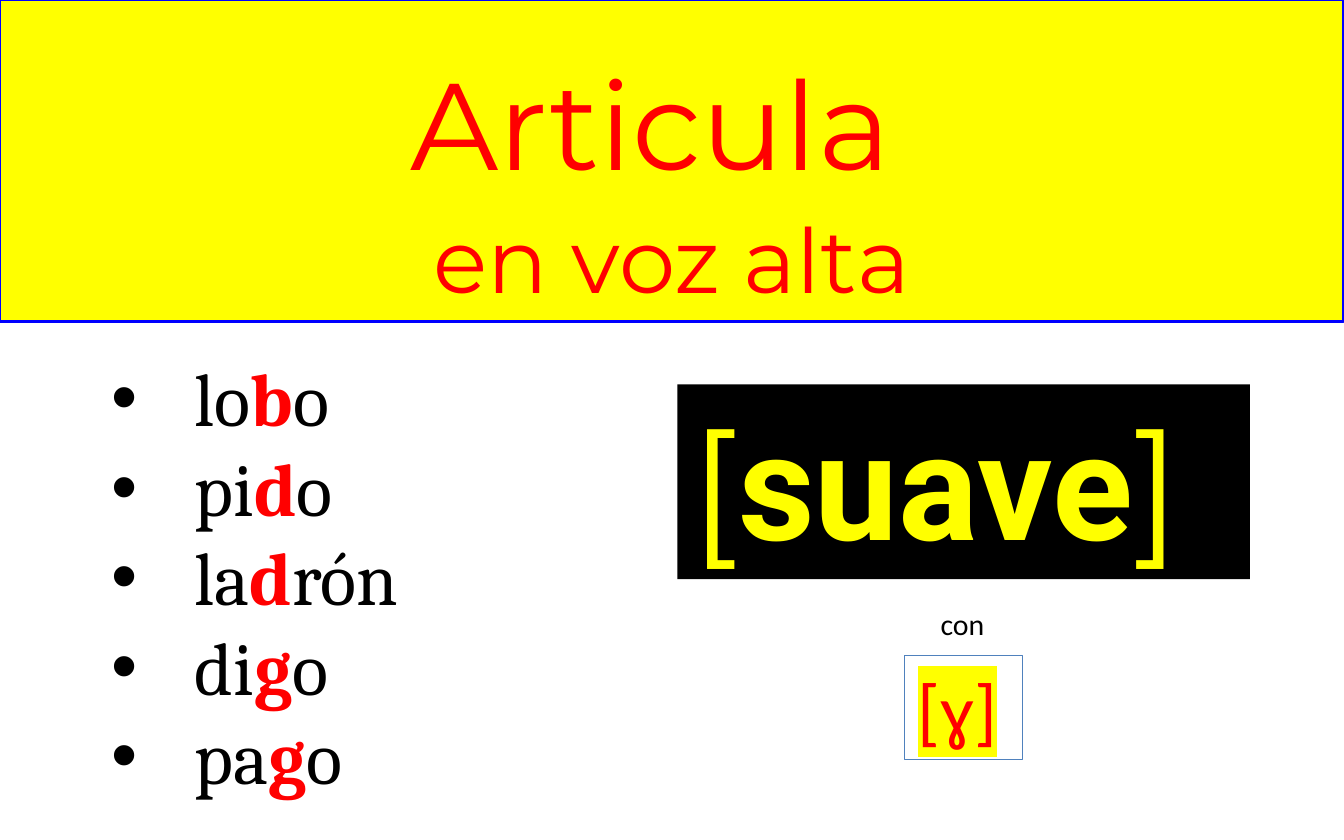
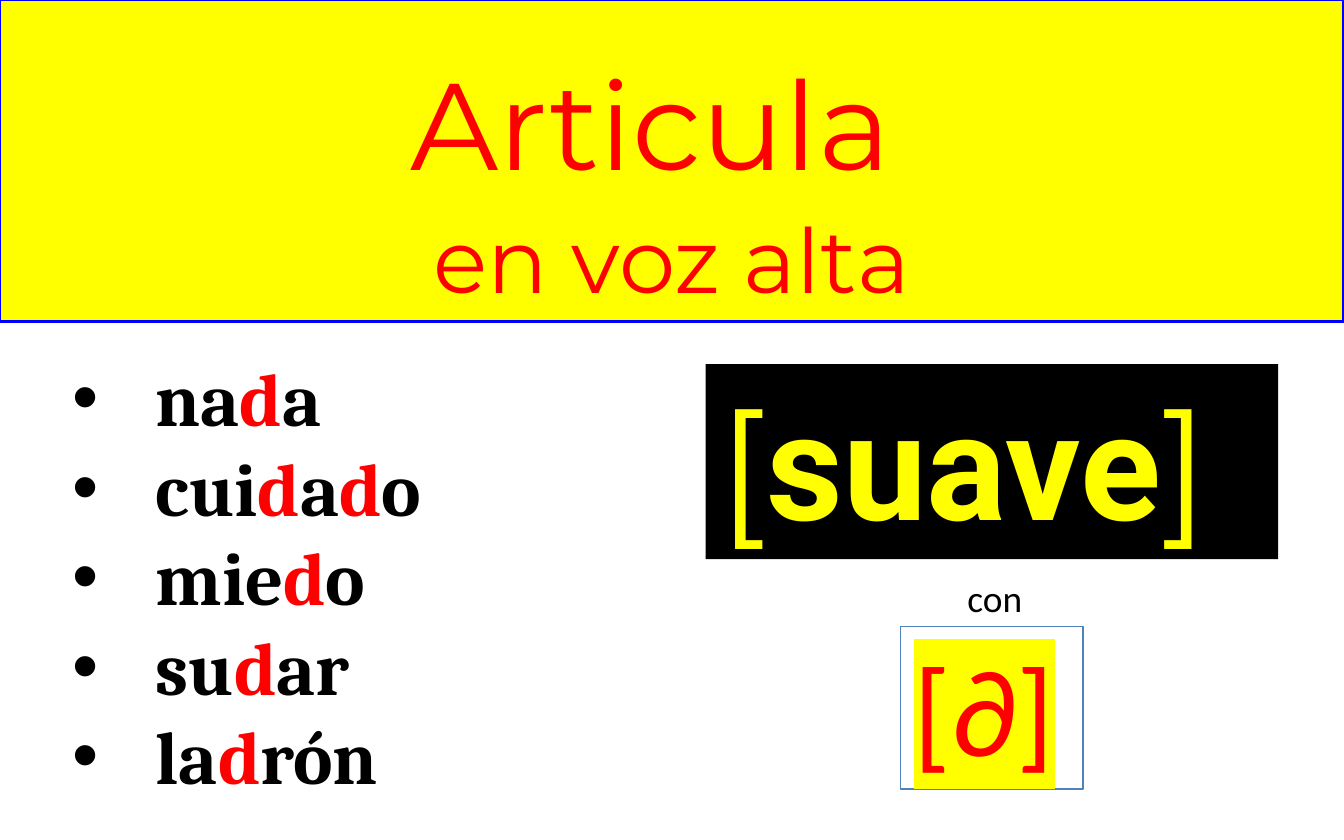
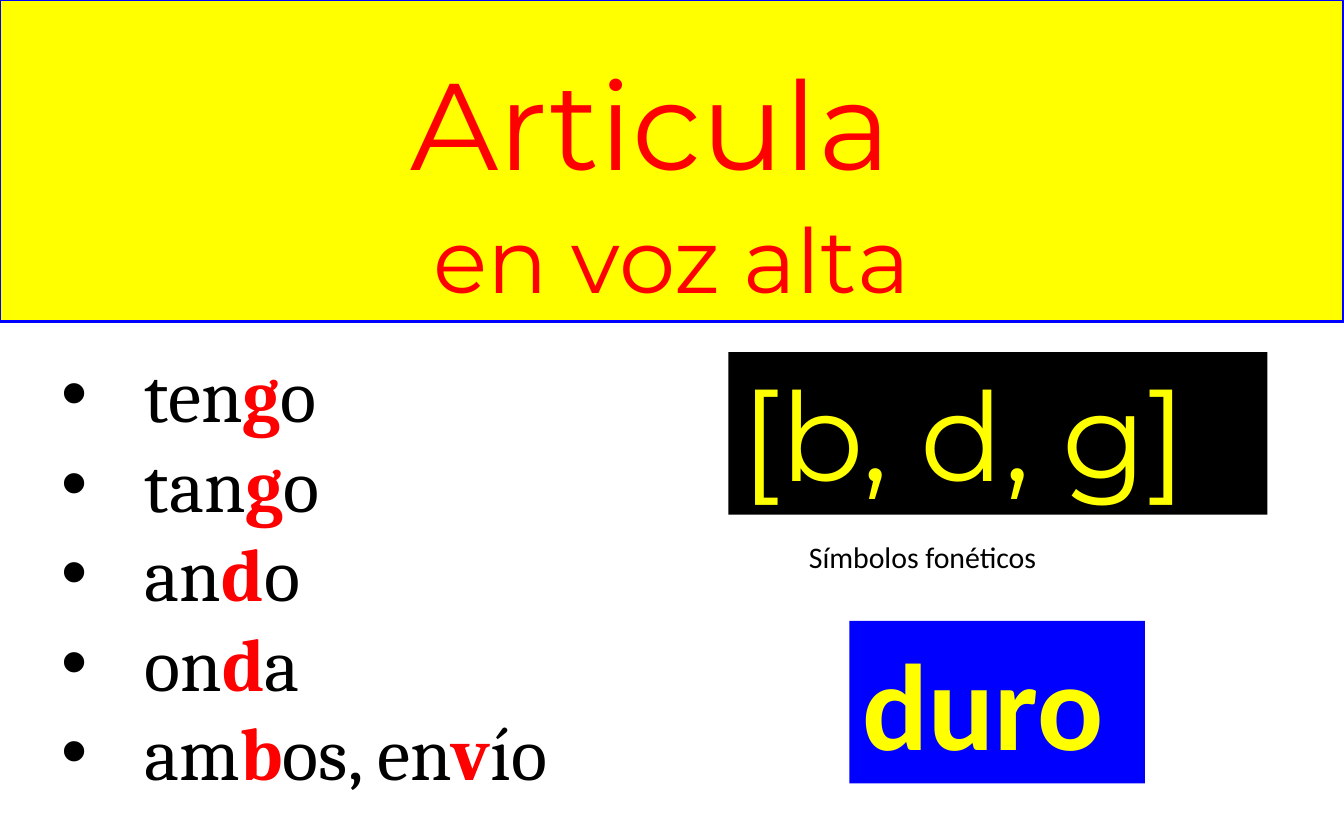
from dataclasses import dataclass
from typing import NamedTuple, Optional

from lxml.etree import SubElement
from pptx import Presentation
from pptx.dml.color import RGBColor
from pptx.enum.shapes import MSO_SHAPE
from pptx.enum.text import MSO_ANCHOR, MSO_AUTO_SIZE, PP_ALIGN
from pptx.oxml.ns import qn
from pptx.util import Emu, Pt

PX = 9144  # EMU per px, 100 px to the inch
PAGE_WIDTH, PAGE_HEIGHT = 1000, 625
BULLET_INDENT = 62

YELLOW = RGBColor(0xFF, 0xFF, 0x00)
RED = RGBColor(0xFF, 0x00, 0x00)
BLUE = RGBColor(0x00, 0x00, 0xFF)
STEEL = RGBColor(0x4F, 0x81, 0xBD)
BLACK = RGBColor(0x00, 0x00, 0x00)

DISPLAY, STRONG, SERIF, SANS = "Montserrat", "Roboto", "Cambria", "Calibri"


class Frame(NamedTuple):
    left: int
    top: int
    width: int
    height: int


class Span(NamedTuple):
    text: str
    size: int
    font: str
    color: RGBColor
    bold: bool = False
    highlight: Optional[RGBColor] = None


@dataclass(frozen=True)
class Box:
    """A block of text; with a fill or a line it becomes a rectangle."""
    frame: Frame
    paras: list[list[Span]]
    fill: Optional[RGBColor] = None
    line: Optional[RGBColor] = None
    line_width: float = 0.75
    align: PP_ALIGN = PP_ALIGN.LEFT
    wrap: bool = False
    bullets: bool = False


@dataclass(frozen=True)
class Page:
    words: Box
    panels: list[Box]


TITLE = Box(
    Frame(0, 0, PAGE_WIDTH, 239),
    [[Span("Articula", 66, DISPLAY, RED), Span(" ", 88, DISPLAY, RED)],
     [Span("en voz alta", 48, DISPLAY, RED)]],
    fill=YELLOW, line=BLUE, line_width=1.5, align=PP_ALIGN.CENTER, wrap=True)


def word_list(frame: Frame, words: list[str], bold: bool = False, wrap: bool = True) -> Box:
    """Bulleted words, where the letters between asterisks are bold and red."""
    paras = [[Span(part, 40, SERIF, RED if index % 2 else BLACK, bold or index % 2 == 1)
              for index, part in enumerate(word.split("*"))]
             for word in words]
    return Box(frame, paras, wrap=wrap, bullets=True)


def soft_panel(left: int, top: int) -> Box:
    return Box(Frame(left, top, 426, 145),
               [[Span("[", 80, DISPLAY, YELLOW),
                 Span("suave", 80, STRONG, YELLOW, bold=True),
                 Span("]", 80, DISPLAY, YELLOW)]],
               fill=BLACK)


def symbol_panel(frame: Frame, symbol: str, size: int) -> Box:
    return Box(frame, [[Span(symbol, size, SANS, RED, highlight=YELLOW)]], line=STEEL)


def caption(frame: Frame, text: str, size: int) -> Box:
    return Box(frame, [[Span(text, size, SANS, BLACK)]])


PAGES = [
    Page(word_list(Frame(73, 257, 369, 347),
                   ["lo*b*o", "pi*d*o", "la*d*rón", "di*g*o", "pa*g*o"]),
         [soft_panel(504, 286),
          symbol_panel(Frame(673, 488, 88, 77), "[ɣ]", 40),
          caption(Frame(690, 446, 55, 37), "con", 16)]),
    Page(word_list(Frame(44, 257, 373, 347),
                   ["na*d*a", "cui*d*a*d*o", "mie*d*o", "su*d*ar", "la*d*rón"], bold=True),
         [soft_panel(525, 271),
          symbol_panel(Frame(670, 466, 136, 121), "[∂]", 66),
          caption(Frame(710, 423, 64, 44), "con", 20)]),
    Page(word_list(Frame(36, 254, 414, 347),
                   ["ten*g*o", "tan*g*o", "an*d*o", "on*d*a", "am*b*os, en*v*ío"], wrap=False),
         [Box(Frame(542, 262, 401, 121),
              [[Span("[b, d, g]", 66, DISPLAY, YELLOW)]], fill=BLACK),
          Box(Frame(632, 462, 220, 121),
              [[Span("duro", 66, SANS, YELLOW, bold=True)]], fill=BLUE, wrap=True),
          caption(Frame(592, 396, 279, 50), "Símbolos fonéticos", 16)]),
]


def add_bullet(para) -> None:
    properties = para._p.get_or_add_pPr()
    properties.set("marL", str(BULLET_INDENT * PX))
    properties.set("indent", str(-BULLET_INDENT * PX))
    SubElement(properties, qn("a:buFont"), typeface="Arial")
    SubElement(properties, qn("a:buChar"), char="•")


def add_highlight(run, color: RGBColor) -> None:
    properties = run._r.get_or_add_rPr()
    highlight = SubElement(properties, qn("a:highlight"))
    SubElement(highlight, qn("a:srgbClr"), val=str(color))
    properties.find(qn("a:solidFill")).addnext(highlight)


def add_span(para, span: Span) -> None:
    run = para.add_run()
    run.text = span.text
    formats = {"size": Pt(span.size), "name": span.font, "bold": span.bold}
    for name, value in formats.items():
        setattr(run.font, name, value)
    run.font.color.rgb = span.color
    if span.highlight is not None:
        add_highlight(run, span.highlight)


def add_rectangle(slide, box: Box, place: list[Emu]):
    shape = slide.shapes.add_shape(MSO_SHAPE.RECTANGLE, *place)
    shape.shadow.inherit = False
    if box.fill is None:
        shape.fill.background()
    else:
        shape.fill.solid()
        shape.fill.fore_color.rgb = box.fill
    if box.line is None:
        shape.line.fill.background()
    else:
        shape.line.color.rgb = box.line
        shape.line.width = Pt(box.line_width)
    return shape


def draw_box(slide, box: Box) -> None:
    place = [Emu(length * PX) for length in box.frame]
    if box.fill is None and box.line is None:
        shape = slide.shapes.add_textbox(*place)
    else:
        shape = add_rectangle(slide, box, place)
    frame = shape.text_frame
    formats = {"word_wrap": box.wrap, "auto_size": MSO_AUTO_SIZE.SHAPE_TO_FIT_TEXT,
               "vertical_anchor": MSO_ANCHOR.TOP}
    for name, value in formats.items():
        setattr(frame, name, value)
    for index, spans in enumerate(box.paras):
        para = frame.add_paragraph() if index else frame.paragraphs[0]
        para.alignment = box.align
        if box.bullets:
            add_bullet(para)
        for span in spans:
            add_span(para, span)


def main() -> None:
    deck = Presentation()
    deck.slide_width, deck.slide_height = Emu(PAGE_WIDTH * PX), Emu(PAGE_HEIGHT * PX)
    for page in PAGES:
        slide = deck.slides.add_slide(deck.slide_layouts[6])
        for box in (TITLE, page.words, *page.panels):
            draw_box(slide, box)
    deck.save("out.pptx")


if __name__ == "__main__":
    main()
